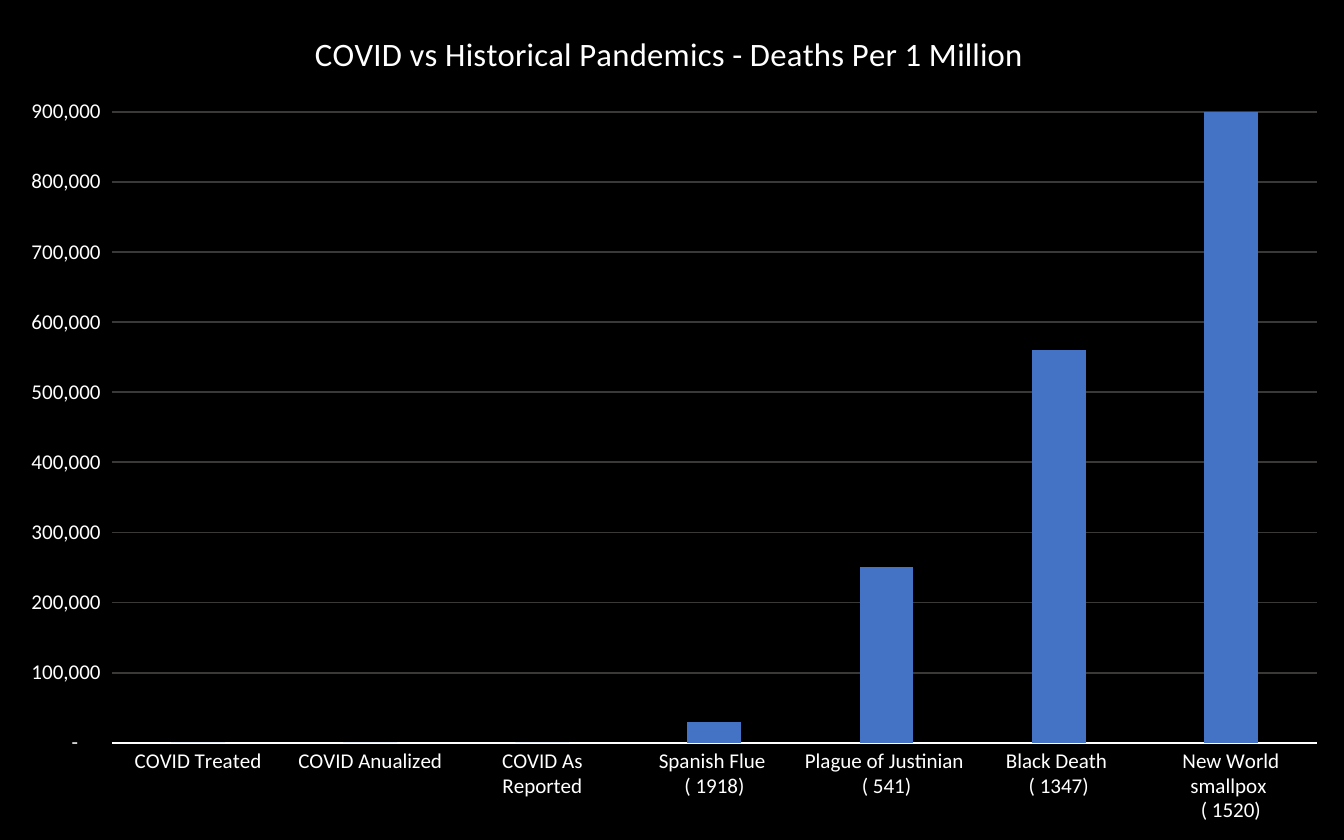
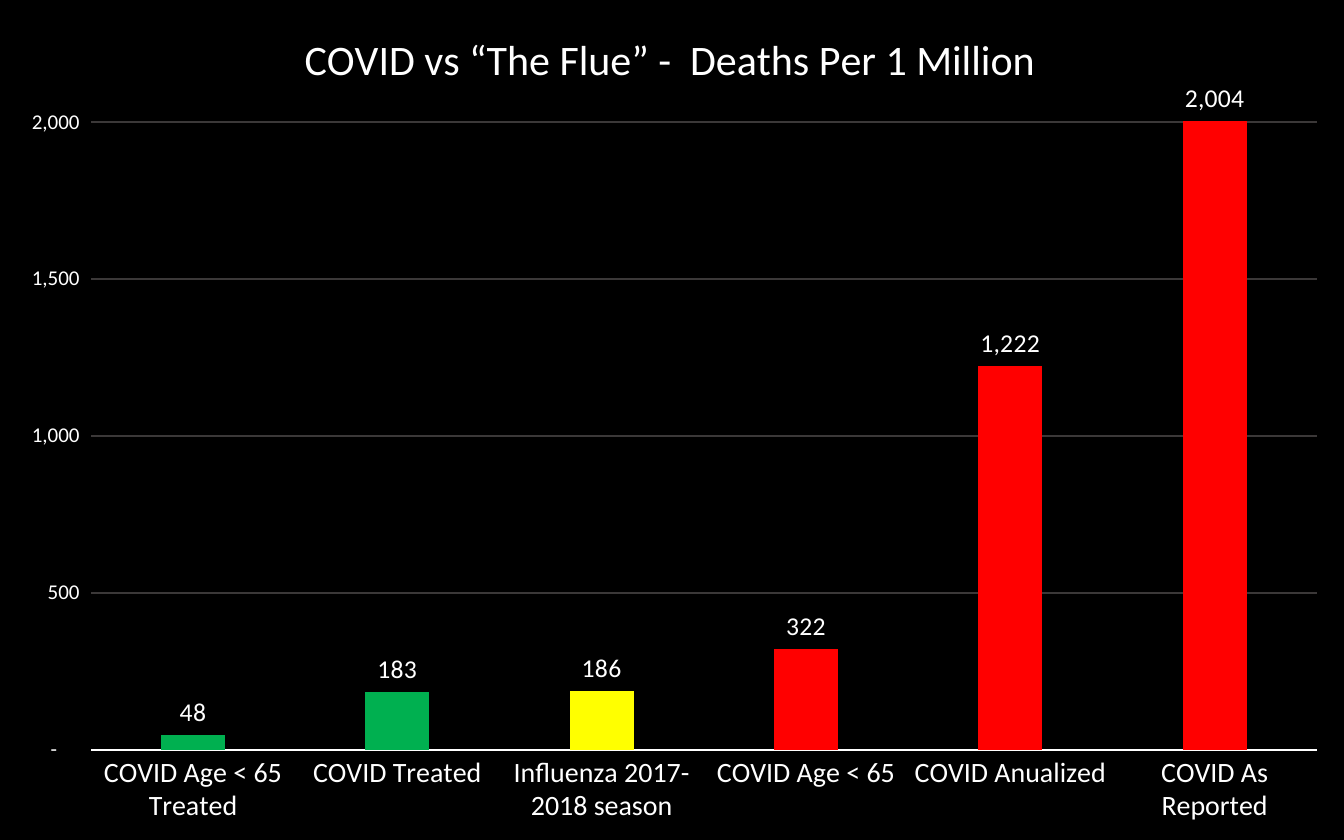
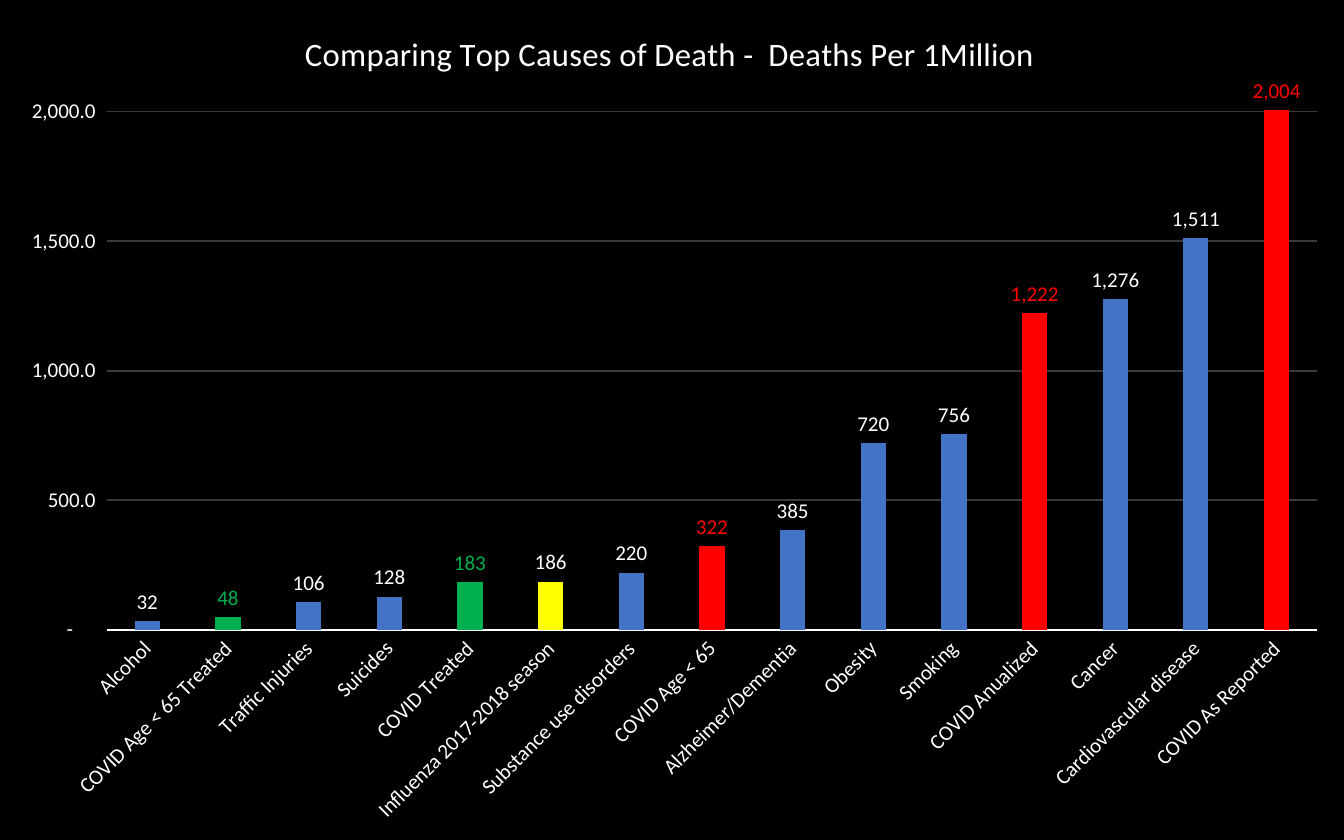
from lxml.etree import SubElement
from pptx import Presentation
from pptx.chart.data import CategoryChartData
from pptx.dml.color import RGBColor
from pptx.enum.chart import XL_CHART_TYPE, XL_LABEL_POSITION, XL_TICK_MARK
from pptx.oxml.ns import qn
from pptx.util import Emu, Pt

# Shared style
BLACK = RGBColor(0x00, 0x00, 0x00)
WHITE = RGBColor(0xFF, 0xFF, 0xFF)
GRID = RGBColor(0x3B, 0x38, 0x38)
BLUE = RGBColor(0x44, 0x72, 0xC4)
RED = RGBColor(0xFF, 0x00, 0x00)
GREEN = RGBColor(0x00, 0xB0, 0x50)
YELLOW = RGBColor(0xFF, 0xFF, 0x00)
FONT = "Calibri"
COUNT_FORMAT = '_(* #,##0_);_(* \\(#,##0\\);_(* "-"??_);_('
DECIMAL_FORMAT = '_(* #,##0.0_);_(* \\(#,##0.0\\);_(* "-"??_);_('
WIDTH, HEIGHT = 1344, 840
PLOT_RIGHT = 1317


def px(pixels):
    return Emu(pixels * 914400 // 168)


def style_font(font, size, color=WHITE):
    font.name = FONT
    font.size = Pt(size)
    font.bold = False
    font.color.rgb = color


def write(frame, text, size=14, color=WHITE):
    frame.text = text
    style_font(frame.paragraphs[0].runs[0].font, size, color)


class Deck:
    def __init__(self):
        self.prs = Presentation()
        self.prs.slide_width, self.prs.slide_height = px(WIDTH), px(HEIGHT)
        backdrop = self.prs.slide_master.background.fill
        backdrop.solid()
        backdrop.fore_color.rgb = BLACK
        self.slide = None

    def add_slide(self):
        blank = self.prs.slide_layouts[6]
        self.slide = self.prs.slides.add_slide(blank)

    def column_chart(self, title, deaths, top, step, plot, title_at, color=BLUE,
                     title_size=14, category_size=9, axis_format=COUNT_FORMAT):
        """Fill the slide with one chart; plot is left, top, bottom in pixels."""
        data = CategoryChartData(number_format=COUNT_FORMAT)
        data.categories = list(deaths)
        data.add_series("Series 1", list(deaths.values()))
        chart = self.slide.shapes.add_chart(
            XL_CHART_TYPE.COLUMN_CLUSTERED, 0, 0, px(WIDTH), px(HEIGHT), data).chart
        chart.has_legend = False
        style_font(chart.font, 10)
        write(chart.chart_title.text_frame, title, size=title_size)
        chart.chart_title.include_in_layout = False

        columns = chart.plots[0]
        columns.gap_width, columns.overlap = 219, -27
        columns.vary_by_categories = False
        series = columns.series[0]
        series.invert_if_negative = False
        series.format.fill.solid()
        series.format.fill.fore_color.rgb = color

        self.category_axis(chart.category_axis, category_size)
        self.value_axis(chart.value_axis, top, step, axis_format)
        self.place_title(chart, *title_at)
        self.place_plot(chart, *plot)
        return chart

    def category_axis(self, axis, size):
        axis.major_tick_mark = axis.minor_tick_mark = XL_TICK_MARK.NONE
        style_font(axis.tick_labels.font, size)
        axis.format.line.color.rgb = WHITE
        axis.format.line.width = Pt(0.75)

    def value_axis(self, axis, top, step, number_format):
        axis.major_tick_mark = axis.minor_tick_mark = XL_TICK_MARK.NONE
        axis.minimum_scale, axis.maximum_scale = 0, top
        axis.major_unit = step
        style_font(axis.tick_labels.font, 9)
        axis.tick_labels.number_format = number_format
        axis.tick_labels.number_format_is_linked = False
        axis.format.line.fill.background()
        axis.major_gridlines.format.line.color.rgb = GRID
        axis.major_gridlines.format.line.width = Pt(0.75)

    def place(self, part, position, settings):
        """Set the manual layout of a chart part, inserted at its schema position."""
        layout = part.find(qn("c:layout"))
        if layout is None:
            layout = SubElement(part, qn("c:layout"))
            part.insert(position, layout)
        manual = SubElement(layout, qn("c:manualLayout"))
        for tag, value in settings.items():
            SubElement(manual, qn("c:" + tag)).set("val", str(value))

    def place_title(self, chart, left, top):
        self.place(chart.chart_title._element, 1, {
            "xMode": "edge", "yMode": "edge",
            "x": left / WIDTH, "y": top / HEIGHT})

    def place_plot(self, chart, left, top, bottom):
        self.place(chart.plots[0]._element.getparent(), 0, {
            "layoutTarget": "inner", "xMode": "edge", "yMode": "edge",
            "x": left / WIDTH, "y": top / HEIGHT,
            "w": (PLOT_RIGHT - left) / WIDTH, "h": (bottom - top) / HEIGHT})

    def value_labels(self, chart, size):
        columns = chart.plots[0]
        columns.has_data_labels = True
        labels = columns.series[0].data_labels
        labels.show_value = True
        labels.number_format = COUNT_FORMAT
        labels.number_format_is_linked = False
        labels.position = XL_LABEL_POSITION.OUTSIDE_END
        style_font(labels.font, size)

    def highlight(self, chart, colors, label_size=None):
        """Recolour single columns; with label_size, their labels as well."""
        series = chart.plots[0].series[0]
        for index, color in colors.items():
            point = series.points[index]
            point.format.fill.solid()
            point.format.fill.fore_color.rgb = color
            if label_size and color != YELLOW:
                style_font(point.data_label.font, label_size, color)
                point.data_label.position = XL_LABEL_POSITION.OUTSIDE_END

    def slant_categories(self, chart):
        body = chart.category_axis._element.find(qn("c:txPr")).find(qn("a:bodyPr"))
        body.set("rot", str(-45 * 60000))
        body.set("vert", "horz")


deck = Deck()

# Slide 1: historical pandemics
deck.add_slide()
deck.column_chart(
    "COVID vs Historical Pandemics - Deaths Per 1 Million",
    {"COVID Treated": 0, "COVID Anualized": 0, "COVID As Reported": 0,
     "Spanish Flue \n( 1918)": 30000, "Plague of Justinian \n( 541)": 250000,
     "Black Death \n( 1347)": 560000, "New World smallpox \n( 1520)": 900000},
    top=900000, step=100000, plot=(112, 112, 743), title_at=(309, 25))

# Slide 2: influenza
deck.add_slide()
influenza = deck.column_chart(
    "COVID vs “The Flue” -  Deaths Per 1 Million",
    {"COVID Age < 65 Treated": 48, "COVID Treated": 183,
     "Influenza 2017-2018 season": 186, "COVID Age < 65": 322,
     "COVID Anualized": 1222, "COVID As Reported": 2004},
    top=2010, step=500, plot=(91, 119, 750), title_at=(297, 23), color=RED,
    title_size=18, category_size=12)
deck.value_labels(influenza, 11)
deck.highlight(influenza, {0: GREEN, 1: GREEN, 2: YELLOW})

# Slide 3: top causes of death
deck.add_slide()
causes = deck.column_chart(
    "Comparing Top Causes of Death -  Deaths Per 1Million",
    {"Alcohol": 32, "COVID Age < 65 Treated": 48, "Traffic Injuries": 106,
     "Suicides": 128, "COVID Treated": 183, "Influenza 2017-2018 season": 186,
     "Substance use disorders": 220, "COVID Age < 65": 322,
     "Alzheimer/Dementia": 385, "Obesity": 720, "Smoking": 756,
     "COVID Anualized": 1222, "Cancer": 1276, "Cardiovascular disease": 1511,
     "COVID As Reported": 2004},
    top=2010, step=500, plot=(107, 109, 630), title_at=(299, 25),
    axis_format=DECIMAL_FORMAT)
deck.value_labels(causes, 9)
deck.highlight(causes, {1: GREEN, 4: GREEN, 5: YELLOW, 7: RED, 11: RED, 14: RED},
               label_size=9)
deck.slant_categories(causes)

deck.prs.save("out.pptx")
